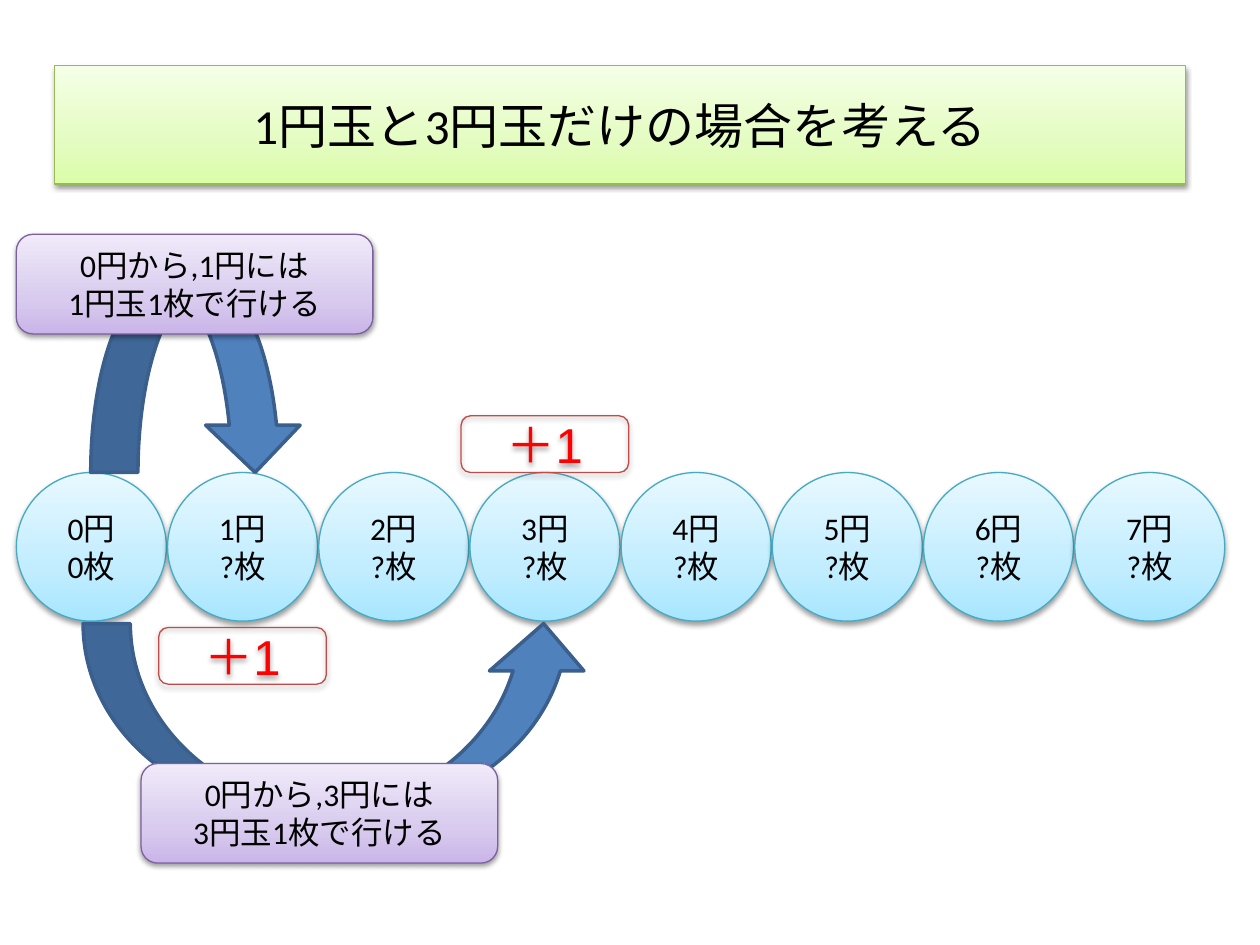
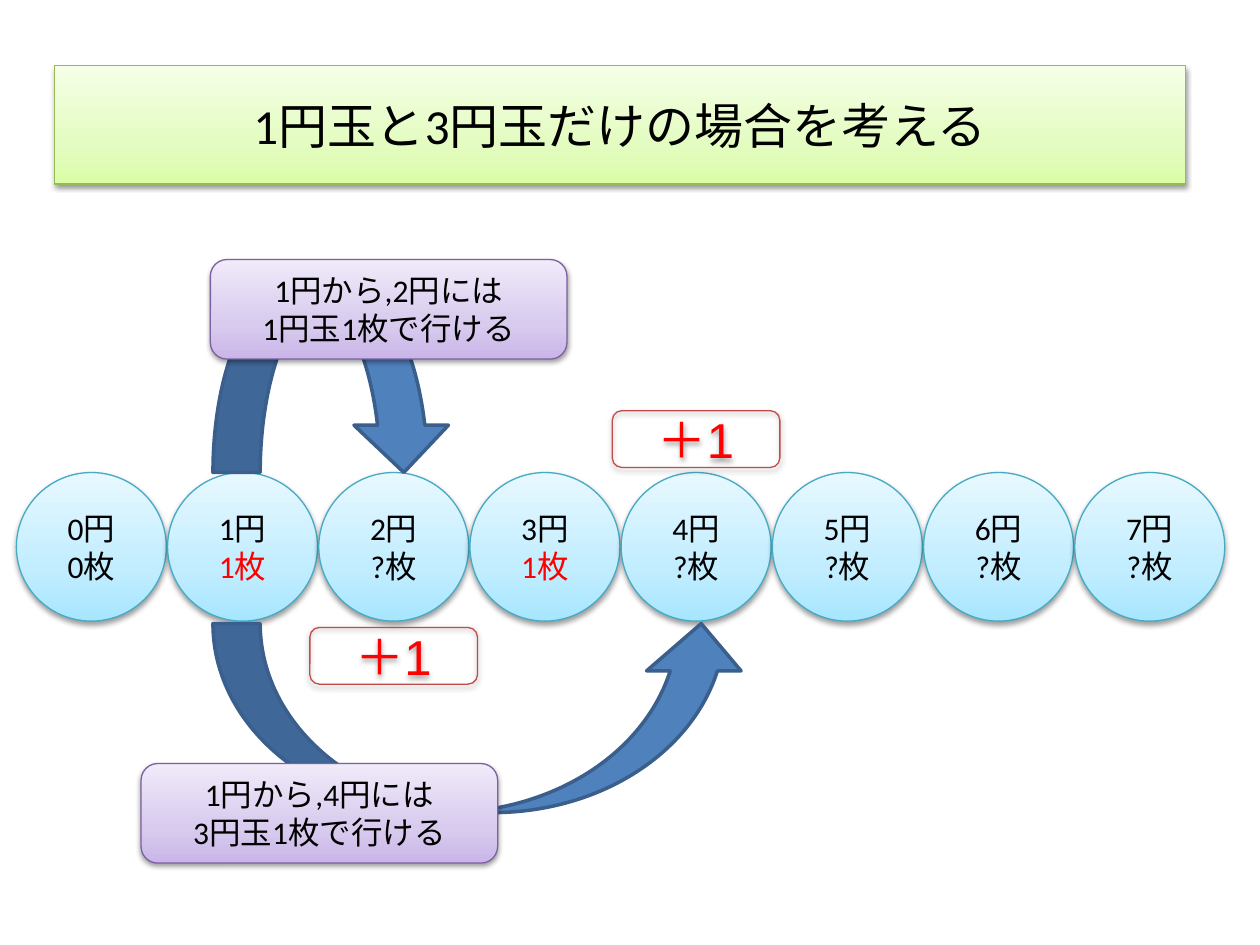
import pptx
import pptx.dml.color
import pptx.enum.shapes
import pptx.enum.text
import pptx.oxml
import pptx.oxml.ns
import pptx.util

TITLE = "1円玉と3円玉だけの場合を考える"
GAIN = "＋1"
SCENES = [
    {
        "counts": ["0", "?", "?", "?", "?", "?", "?", "?"],
        "solved": [],
        "hops": [
            {"coin": 1, "from": 0, "arrow": (0.72, 2.25, 1.68), "note": (0.13, 1.86), "gain": 4.98},
            {"coin": 3, "from": 0, "arrow": (0.66, 4.95, 4.03), "note": (1.12, 6.06), "gain": 3.3},
        ],
    },
    {
        "counts": ["0", "1", "?", "1", "?", "?", "?", "?"],
        "solved": [1, 3],
        "hops": [
            {"coin": 1, "from": 1, "arrow": (1.69, 2.25, 1.89), "note": (1.67, 2.06), "gain": 4.98},
            {"coin": 3, "from": 1, "arrow": (1.69, 4.95, 4.25), "note": (1.12, 6.06), "gain": 3.26},
        ],
    },
]

THEME = {
    "title": {"grad": ("DAFDA7", "E4FCC2", "F5FFE7"), "line": "98B955", "size": 28, "font": "Calibri", "ink": "000000"},
    "coin": {"grad": ("A7E6FF", "C1EDFF", "E7F8FF"), "line": "46AAC5", "size": 18, "font": "Calibri", "ink": "000000"},
    "note": {"grad": ("C9B5E8", "D8CBEE", "F0EAF9"), "line": "7D60A0", "size": 18, "font": "Calibri", "ink": "000000"},
    "gain": {"grad": None, "line": "BF4C48", "size": 28, "font": "Arial", "ink": "FF0000"},
    "arrow": {"fill": "4F81BD", "line": "3A5F8C"},
    "solved": "FF0000",
}

TITLE_BOX = (0.43, 0.52, 8.98, 0.94)
COIN_LEFT, COIN_TOP, COIN_STEP = 0.13, 3.75, 1.2
COIN_SIZE = (1.19, 1.18)
NOTE_SIZE = (2.83, 0.79)
GAIN_SIZE = (1.33, 0.45)
ARROW_HIGH = 1.5

KIND = pptx.enum.shapes.MSO_SHAPE
RGB = pptx.dml.color.RGBColor.from_string
NS = pptx.oxml.ns.nsdecls("a")


def inches(box):
    return [pptx.util.Inches(n) for n in box]


def paint(shape, style):
    shape.fill.background()
    if style["grad"]:
        stops = "".join(
            f'<a:gs pos="{pos}"><a:srgbClr val="{tint}"/></a:gs>'
            for pos, tint in zip((0, 35000, 100000), style["grad"])
        )
        blank = shape._element.spPr.find(pptx.oxml.ns.qn("a:noFill"))
        blank.addnext(pptx.oxml.parse_xml(
            f'<a:gradFill {NS} rotWithShape="1"><a:gsLst>{stops}</a:gsLst>'
            '<a:lin ang="16200000" scaled="0"/></a:gradFill>'))
        shape._element.spPr.remove(blank)
    shape.line.color.rgb = RGB(style["line"])
    shape.line.width = pptx.util.Pt(0.75)
    shape.shadow.inherit = False
    glow = shape._element.spPr.find(pptx.oxml.ns.qn("a:effectLst"))
    glow.append(pptx.oxml.parse_xml(
        f'<a:outerShdw {NS} blurRad="40000" dist="20000" dir="5400000" rotWithShape="0">'
        '<a:srgbClr val="000000"><a:alpha val="38000"/></a:srgbClr></a:outerShdw>'))


def write(shape, style, lines):
    frame = shape.text_frame
    frame.word_wrap = True
    frame.auto_size = pptx.enum.text.MSO_AUTO_SIZE.NONE
    frame.vertical_anchor = pptx.enum.text.MSO_ANCHOR.MIDDLE
    for i, (text, ink) in enumerate(lines):
        para = frame.add_paragraph() if i else frame.paragraphs[0]
        para.alignment = pptx.enum.text.PP_ALIGN.CENTER
        run = para.add_run()
        run.text = text
        run.font.name = style["font"]
        run.font.size = pptx.util.Pt(style["size"])
        run.font.color.rgb = RGB(ink or style["ink"])


def add_box(slide, kind, box, name, lines):
    shape = slide.shapes.add_shape(kind, *inches(box))
    paint(shape, THEME[name])
    write(shape, THEME[name], lines)


def add_title(slide):
    title = slide.shapes.title
    title.left, title.top, title.width, title.height = inches(TITLE_BOX)
    title._element.spPr.append(pptx.oxml.parse_xml(
        f'<a:prstGeom {NS} prst="roundRect"><a:avLst/></a:prstGeom>'))
    paint(title, THEME["title"])
    write(title, THEME["title"], [(TITLE, None)])


def coin_left(yen):
    return COIN_LEFT + yen * COIN_STEP


def add_coins(slide, scene):
    for yen, count in enumerate(scene["counts"]):
        ink = THEME["solved"] if yen in scene["solved"] else None
        add_box(slide, KIND.OVAL, (coin_left(yen), COIN_TOP, *COIN_SIZE), "coin",
                [(f"{yen}円", None), (f"{count}枚", ink)])


def add_hop(slide, hop):
    arrow = slide.shapes.add_shape(KIND.CURVED_DOWN_ARROW, *inches((*hop["arrow"], ARROW_HIGH)))
    arrow.fill.solid()
    arrow.fill.fore_color.rgb = RGB(THEME["arrow"]["fill"])
    arrow.line.color.rgb = RGB(THEME["arrow"]["line"])
    arrow.line.width = pptx.util.Pt(2)
    arrow.shadow.inherit = False
    if hop["arrow"][1] > COIN_TOP:
        arrow._element.spPr.xfrm.set("flipV", "1")
    start, coin = hop["from"], hop["coin"]
    add_box(slide, KIND.ROUNDED_RECTANGLE, (*hop["note"], *NOTE_SIZE), "note",
            [(f"{start}円から,{start + coin}円には", None), (f"{coin}円玉1枚で行ける", None)])


def add_gain(slide, hop):
    left = coin_left(hop["from"] + hop["coin"]) + (COIN_SIZE[0] - GAIN_SIZE[0]) / 2
    add_box(slide, KIND.ROUNDED_RECTANGLE, (left, hop["gain"], *GAIN_SIZE), "gain", [(GAIN, None)])


def main():
    deck = pptx.Presentation()
    deck.slide_width, deck.slide_height = inches((10, 7.5))
    for scene in SCENES:
        slide = deck.slides.add_slide(deck.slide_layouts[5])
        add_title(slide)
        add_coins(slide, scene)
        for hop in scene["hops"]:
            add_hop(slide, hop)
        for hop in scene["hops"]:
            add_gain(slide, hop)
    deck.save("out.pptx")


if __name__ == "__main__":
    main()
